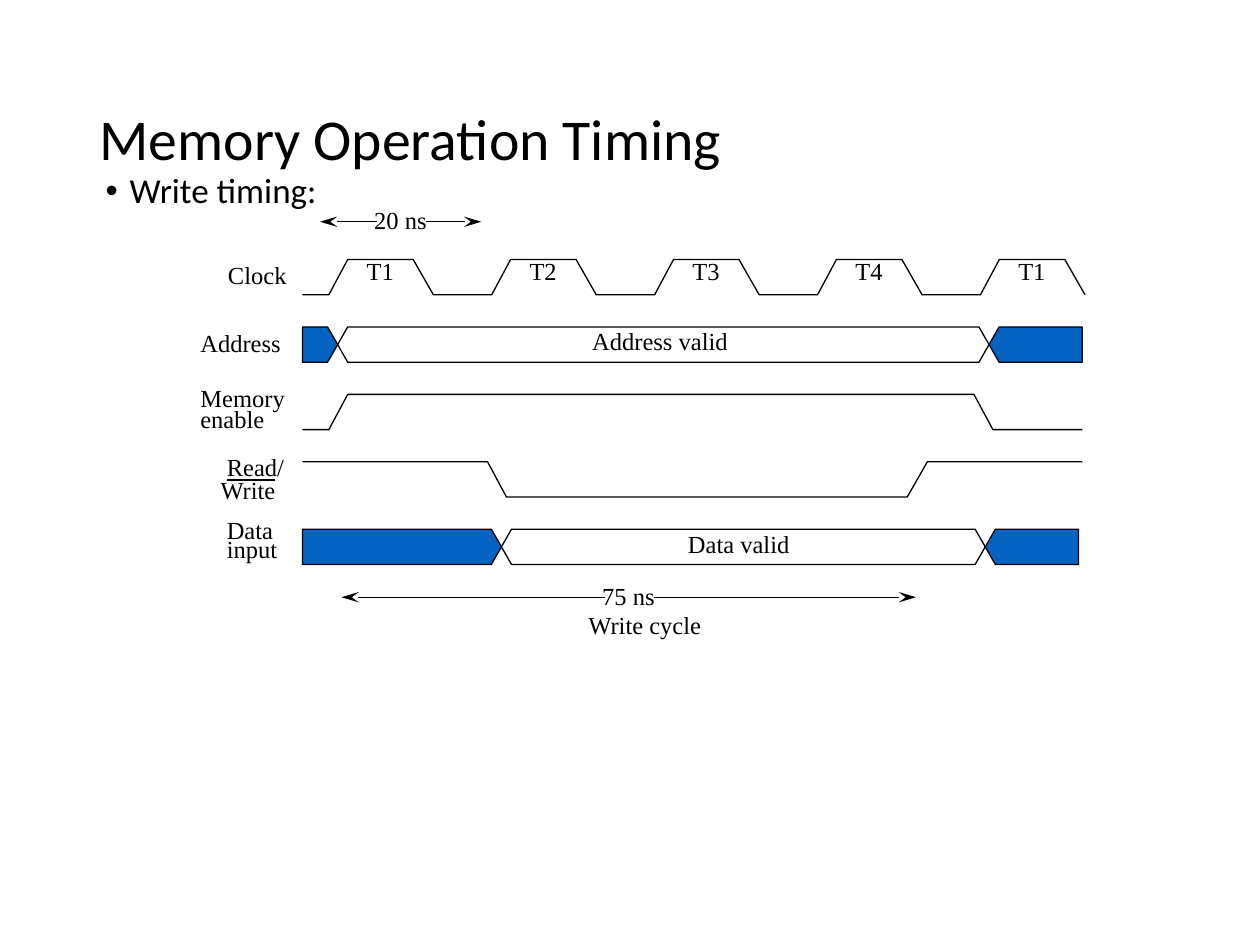
from itertools import chain

from lxml import etree
from pptx import Presentation
from pptx.dml.color import RGBColor
from pptx.enum.shapes import MSO_CONNECTOR, MSO_SHAPE
from pptx.enum.text import MSO_ANCHOR, MSO_AUTO_SIZE, PP_ALIGN
from pptx.oxml.ns import qn
from pptx.util import Inches, Pt

STRAIGHT = MSO_CONNECTOR.STRAIGHT
RECTANGLE = MSO_SHAPE.RECTANGLE
MIDDLE, TOP = MSO_ANCHOR.MIDDLE, MSO_ANCHOR.TOP
NO_AUTOFIT = MSO_AUTO_SIZE.NONE
LEFT = PP_ALIGN.LEFT

BLACK, WHITE, BLUE = "000000", "FFFFFF", "0563C1"
SANS, SERIF = "Calibri", "Times New Roman"
CLOCK, ADDRESS, ENABLE, READ_WRITE, DATA = range(5)
LOW, HIGH = 0, 1
FIRST_ROW, ROW_PITCH, ROW_HEIGHT = 2.06, 0.535, 0.28
SIGNAL_LEFT, SIGNAL_RIGHT = 2.4, 8.59
CLOCK_START, CLOCK_PERIOD = 2.61, 1.293
SLANT = 0.08

SIGNAL_LABELS = [
    ("Clock", 1.81, 2.06, 0.6), ("Address", 1.59, 2.6, 0.81),
    ("Memory", 1.59, 3.04, 0.83), ("enable", 1.59, 3.21, 0.67),
    ("Read/", 1.8, 3.59, 0.61), ("Write", 1.75, 3.77, 0.59),
    ("Data", 1.8, 4.09, 0.53), ("input", 1.8, 4.24, 0.55),
    ("Address valid", 4.7, 2.59, 1.27), ("Data valid", 5.46, 4.2, 0.99),
    ("Write cycle", 4.67, 4.84, 1.07),
]


def color(value):
    """Return the colour for a hex string."""
    return RGBColor.from_string(value)


def place(shape, left, top, width, height):
    """Move and size a shape in inches."""
    box = {"left": left, "top": top, "width": width, "height": height}
    for name, value in box.items():
        setattr(shape, name, Inches(value))


def write(shape, text, font, size, **frame_format):
    """Write one left-aligned paragraph and return it."""
    frame = shape.text_frame
    frame.text = text
    for name, value in frame_format.items():
        setattr(frame, name, value)
    paragraph = frame.paragraphs[0]
    paragraph.alignment = LEFT
    for name, value in {"name": font, "size": Pt(size)}.items():
        setattr(paragraph.runs[0].font, name, value)
    paragraph.runs[0].font.color.rgb = color(BLACK)
    return paragraph


def add_title(slide, text):
    """Fill and place the title placeholder."""
    title = slide.shapes.title
    place(title, 0.69, 0.4, 8.62, 1.45)
    paragraph = write(title, text, SANS, 33, vertical_anchor=MIDDLE,
                      auto_size=NO_AUTOFIT)
    paragraph.line_spacing = 0.9


def add_bullet(slide, text):
    """Add the bulleted line under the title."""
    box = slide.shapes.add_textbox(0, 0, 0, 0)
    place(box, 0.74, 1.33, 8.76, 5.17)
    paragraph = write(box, text, SANS, 20, word_wrap=True,
                      vertical_anchor=TOP)
    paragraph.line_spacing = 0.9
    paragraph.space_before = Pt(7.5)
    properties = paragraph._p.get_or_add_pPr()
    properties.set("marL", str(Inches(0.19)))
    properties.set("indent", str(-Inches(0.19)))
    etree.SubElement(properties, qn("a:buFont"), typeface="Arial")
    etree.SubElement(properties, qn("a:buChar"), char="•")


def add_label(slide, text, left, top, width):
    """Add a short unwrapped label without insets."""
    box = slide.shapes.add_textbox(0, 0, 0, 0)
    place(box, left, top, width, 0.28)
    write(box, text, SERIF, 14, word_wrap=False, margin_left=0,
          margin_right=0, margin_top=0, margin_bottom=0)


def add_line(slide, start, end, arrows=False):
    """Add a thin black line, with arrowheads at both ends if asked."""
    points = [Inches(value) for value in (*start, *end)]
    line = slide.shapes.add_connector(STRAIGHT, *points)
    line.line.color.rgb = color(BLACK)
    line.line.width = Pt(0.75)
    if arrows:
        outline = line.line._get_or_add_ln()
        for tag in ("a:headEnd", "a:tailEnd"):
            etree.SubElement(outline, qn(tag), type="stealth", w="med",
                             len="lg")
    etree.SubElement(line._element.spPr, qn("a:effectLst"))


def add_outline(slide, points, fill=None, close=False):
    """Draw a thin black path through points in inches."""
    points = [(Inches(x), Inches(y)) for x, y in points]
    builder = slide.shapes.build_freeform(*points[0])
    builder.add_line_segments(points[1:], close=close)
    shape = builder.convert_to_shape()
    shape.shadow.inherit = False
    shape.line.color.rgb = color(BLACK)
    shape.line.width = Pt(0.75)
    if fill:
        shape.fill.solid()
        shape.fill.fore_color.rgb = color(fill)
    else:
        shape.fill.background()


def add_wave(slide, row, steps):
    """Draw a signal from its (x, level) steps."""
    low = FIRST_ROW + row * ROW_PITCH + ROW_HEIGHT
    add_outline(slide, [(x, low - level * ROW_HEIGHT) for x, level in steps])


def add_bus(slide, row, edges):
    """Draw a bus as invalid, valid and invalid spans between its edges."""
    top = FIRST_ROW + row * ROW_PITCH
    middle, bottom = top + ROW_HEIGHT / 2, top + ROW_HEIGHT
    slants = (0, SLANT, SLANT, 0)
    for index, fill in enumerate((BLUE, None, BLUE)):
        left, right = edges[index:index + 2]
        inner_left = left + slants[index]
        inner_right = right - slants[index + 1]
        add_outline(slide, [(left, middle), (inner_left, top),
                            (inner_right, top), (right, middle),
                            (inner_right, bottom), (inner_left, bottom)],
                    fill, close=True)


def add_duration(slide, text, left, right, y, text_left):
    """Add a double arrow whose middle is cleared for its duration."""
    add_line(slide, (left, y), (right, y), arrows=True)
    gap = slide.shapes.add_shape(RECTANGLE, 0, 0, 0, 0)
    place(gap, text_left + 0.02, y - 0.08, 0.39, 0.16)
    gap.shadow.inherit = False
    gap.fill.solid()
    gap.fill.fore_color.rgb = color(WHITE)
    gap.line.fill.background()
    add_label(slide, text, text_left, y - 0.13, 0.53)


def add_clock(slide):
    """Draw the clock and name its periods."""
    starts = [CLOCK_START + index * CLOCK_PERIOD for index in range(5)]
    pulse = ((0, LOW), (0.15, HIGH), (0.67, HIGH), (0.83, LOW))
    pulses = chain.from_iterable(
        [(start + offset, level) for offset, level in pulse]
        for start in starts)
    add_wave(slide, CLOCK, [(SIGNAL_LEFT, LOW), *pulses])
    for start, name in zip(starts, ("T1", "T2", "T3", "T4", "T1")):
        add_label(slide, name, start + 0.3, 2.03, 0.34)


def main():
    """Build the write timing slide."""
    presentation = Presentation()
    presentation.slide_width = Inches(10)
    presentation.slide_height = Inches(7.5)
    slide = presentation.slides.add_slide(presentation.slide_layouts[5])
    add_title(slide, "Memory Operation Timing")
    add_bullet(slide, "Write timing:")
    add_clock(slide)
    add_bus(slide, ADDRESS, (SIGNAL_LEFT, 2.68, 7.85, SIGNAL_RIGHT))
    add_wave(slide, ENABLE, [
        (SIGNAL_LEFT, LOW), (2.61, LOW), (2.76, HIGH),
        (7.73, HIGH), (7.88, LOW), (SIGNAL_RIGHT, LOW)])
    add_wave(slide, READ_WRITE, [
        (SIGNAL_LEFT, HIGH), (3.87, HIGH), (4.02, LOW),
        (7.2, LOW), (7.36, HIGH), (SIGNAL_RIGHT, HIGH)])
    add_bus(slide, DATA, (SIGNAL_LEFT, 3.98, 7.82, 8.56))
    add_duration(slide, "20 ns", 2.54, 3.82, 1.76, 2.97)
    add_duration(slide, "75 ns", 2.71, 7.27, 4.74, 4.78)
    for label in SIGNAL_LABELS:
        add_label(slide, *label)
    add_line(slide, (1.8, 3.81), (2.18, 3.81))
    presentation.save("out.pptx")


if __name__ == "__main__":
    main()
